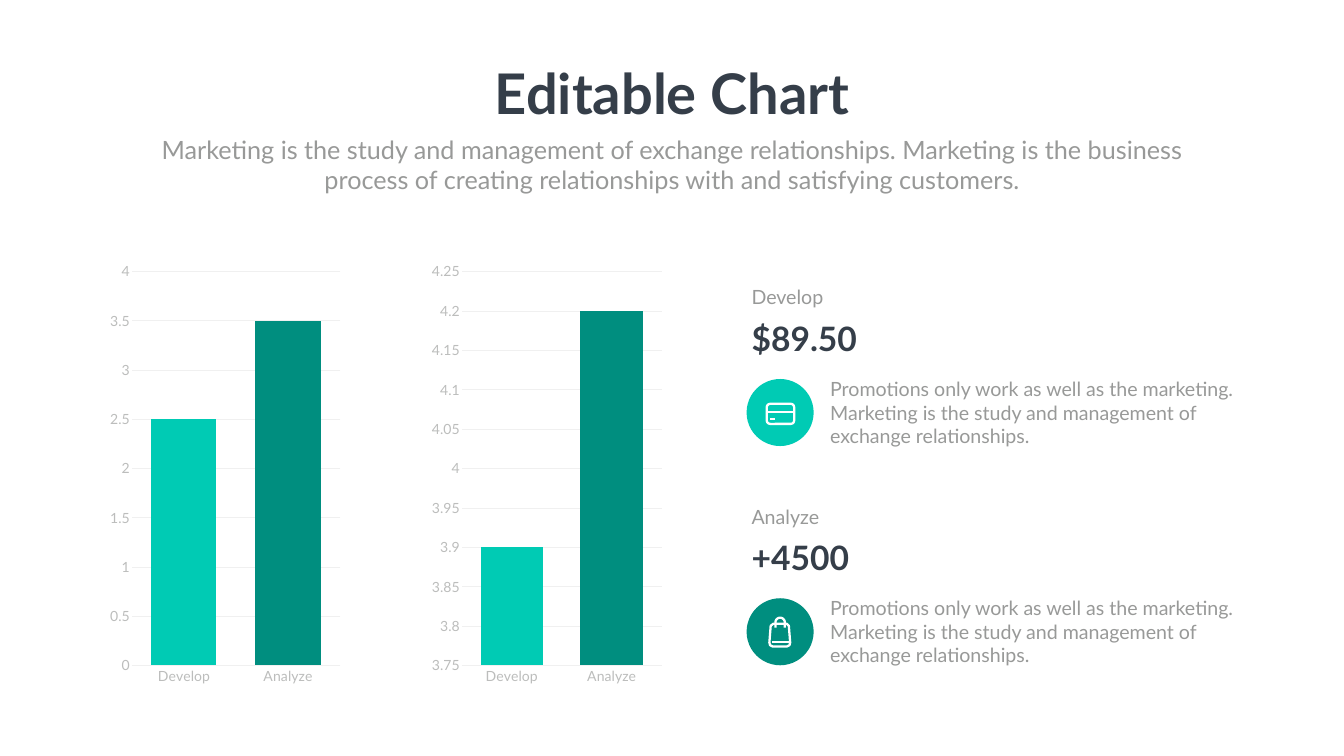
from dataclasses import dataclass
from math import cos, pi, sin

from lxml.etree import SubElement
from pptx import Presentation
from pptx.chart.data import CategoryChartData
from pptx.dml.color import RGBColor
from pptx.enum.chart import XL_CHART_TYPE, XL_TICK_MARK
from pptx.enum.shapes import MSO_CONNECTOR, MSO_SHAPE
from pptx.enum.text import MSO_AUTO_SIZE, PP_ALIGN
from pptx.oxml.ns import qn
from pptx.util import Inches, Pt

WIDTH, HEIGHT = Inches(26.66), Inches(15)
COLORS = {
    "white": "FFFFFF",
    "ink": "353E49",
    "grey": "989998",
    "axis": "BCBDBC",
    "grid": "F0F0F0",
    "mint": "00CBB4",
    "teal": "008E7F",
}
STYLES = {
    "title": {"size": Pt(80), "bold": True, "color": "ink"},
    "lead": {"size": Pt(36), "color": "grey"},
    "value": {"size": Pt(48), "bold": True, "color": "ink"},
    "body": {"size": Pt(28), "color": "grey"},
    "chart": {"size": Pt(20), "color": "grey"},
    "axis": {"size": Pt(20), "color": "axis"},
}
BODY = (
    "Promotions only work as well as the marketing. "
    "Marketing is the study and management of exchange relationships."
)
CATEGORIES = ("Develop", "Analyze")
BAR_COLORS = ("mint", "teal")
METRIC_PITCH = 29


@dataclass(frozen=True)
class Box:
    """Percent shares of the slide's width and height."""

    x: float
    y: float
    w: float
    h: float

    def emu(self) -> tuple:
        return tuple(
            round(share * side / 100)
            for share, side in zip((self.x, self.y, self.w, self.h), (WIDTH, HEIGHT) * 2)
        )


@dataclass(frozen=True)
class BarChart:
    x: float
    values: tuple
    low: float
    high: float
    step: float


@dataclass(frozen=True)
class Metric:
    label: str
    value: str
    color: str
    icon: str


CHARTS = (
    BarChart(7.84, (2.5, 3.5), 0, 4, 0.5),
    BarChart(31.77, (3.9, 4.2), 3.75, 4.25, 0.05),
)
METRICS = (
    Metric("Develop", "$89.50", "mint", "card"),
    Metric("Analyze", "+4500", "teal", "bag"),
)
BAG_BODY = (
    (0.4, 0.38), (0.6, 0.38), (0.63, 0.41), (0.65, 0.66), (0.64, 0.7),
    (0.6, 0.72), (0.39, 0.72), (0.35, 0.7), (0.34, 0.66), (0.36, 0.41),
)
HANDLE_ARC = tuple(
    (0.5 - 0.07 * cos(pi * i / 12), 0.36 - 0.07 * sin(pi * i / 12)) for i in range(13)
)
BAG_HANDLE = ((0.43, 0.44), *HANDLE_ARC, (0.57, 0.44))


def rgb(name: str) -> RGBColor:
    return RGBColor.from_string(COLORS[name])


def set_font(font, style: str) -> None:
    font.name = "Lato"
    for key, value in STYLES[style].items():
        if key == "color":
            font.color.rgb = rgb(value)
        else:
            setattr(font, key, value)


def set_line(line, color: str, width: float) -> None:
    line.color.rgb = rgb(color)
    line.width = Pt(width)


def add_text(s, box: Box, text: str, style: str, wrap: bool = True, **paragraph) -> None:
    tf = s.shapes.add_textbox(*box.emu()).text_frame
    tf.word_wrap = wrap
    tf.auto_size = MSO_AUTO_SIZE.SHAPE_TO_FIT_TEXT
    p = tf.paragraphs[0]
    for key, value in paragraph.items():
        setattr(p, key, value)
    r = p.add_run()
    r.text = text
    set_font(r.font, style)


def add_bar_chart(s, bars: BarChart) -> None:
    data = CategoryChartData()
    data.categories = CATEGORIES
    data.add_series("Series 1", bars.values)
    chart = s.shapes.add_chart(
        XL_CHART_TYPE.COLUMN_CLUSTERED, *Box(bars.x, 33.6, 17.82, 58.13).emu(), data
    ).chart
    chart.has_legend = chart.has_title = False
    set_font(chart.font, "chart")
    for axis in (chart.category_axis, chart.value_axis):
        axis.major_tick_mark = axis.minor_tick_mark = XL_TICK_MARK.NONE
        set_font(axis.tick_labels.font, "axis")
    set_line(chart.category_axis.format.line, "grid", 0.75)
    scale = {"minimum_scale": bars.low, "maximum_scale": bars.high, "major_unit": bars.step}
    for key, value in scale.items():
        setattr(chart.value_axis, key, value)
    chart.value_axis.format.line.fill.background()
    set_line(chart.value_axis.major_gridlines.format.line, "grid", 0.75)
    plot = chart.plots[0]
    for key, value in {"gap_width": 60, "overlap": -11, "vary_by_categories": False}.items():
        setattr(plot, key, value)
    series = plot.series[0]
    series.invert_if_negative = False
    for i, color in enumerate(BAR_COLORS):
        fill = series.points[i].format.fill
        fill.solid()
        fill.fore_color.rgb = rgb(color)


def within(sp, x: float, y: float) -> tuple:
    return round(sp.left + x * sp.width), round(sp.top + y * sp.height)


def style_outline(sp) -> None:
    sp.shadow.inherit = False
    sp.fill.background()
    set_line(sp.line, "white", 3.25)


def add_stroke(s, disc, x1: float, x2: float, y: float) -> None:
    line = s.shapes.add_connector(
        MSO_CONNECTOR.STRAIGHT, *within(disc, x1, y), *within(disc, x2, y)
    )
    set_line(line.line, "white", 3)
    SubElement(line._element.spPr, qn("a:effectLst"))


def add_outline(s, disc, points: tuple, close: bool) -> None:
    start, *rest = (within(disc, *point) for point in points)
    builder = s.shapes.build_freeform(*start)
    builder.add_line_segments(rest, close=close)
    style_outline(builder.convert_to_shape())


def add_card_icon(s, disc) -> None:
    size = (round(0.41 * disc.width), round(0.3 * disc.height))
    sp = s.shapes.add_shape(MSO_SHAPE.ROUNDED_RECTANGLE, *within(disc, 0.3, 0.37), *size)
    sp.adjustments[0] = 0.17
    style_outline(sp)
    add_stroke(s, disc, 0.3, 0.71, 0.49)
    add_stroke(s, disc, 0.35, 0.43, 0.6)


def add_bag_icon(s, disc) -> None:
    add_outline(s, disc, BAG_BODY, True)
    add_outline(s, disc, BAG_HANDLE, False)
    add_stroke(s, disc, 0.38, 0.64, 0.65)


def add_metric(s, metric: Metric, y: float) -> None:
    x = 55.55
    add_text(s, Box(x, y, 12.53, 4.13), metric.label, "body", line_spacing=Pt(40.8))
    add_text(s, Box(x, y + 4.93, 16.47, 6.07), metric.value, "value")
    add_text(s, Box(61.4, y + 12.8, 32.18, 10.07), BODY, "body")
    disc = s.shapes.add_shape(MSO_SHAPE.OVAL, *Box(x, y + 13.4, 4.99, 8.87).emu())
    disc.shadow.inherit = False
    disc.fill.solid()
    disc.fill.fore_color.rgb = rgb(metric.color)
    disc.line.fill.background()
    {"card": add_card_icon, "bag": add_bag_icon}[metric.icon](s, disc)


def main() -> None:
    prs = Presentation()
    prs.slide_width, prs.slide_height = WIDTH, HEIGHT
    s = prs.slides.add_slide(prs.slide_layouts[6])
    s.background.fill.solid()
    s.background.fill.fore_color.rgb = rgb("white")
    add_text(s, Box(36.2, 7.47, 27.64, 9.67), "Editable Chart", "title", False,
             alignment=PP_ALIGN.CENTER)
    add_text(s, Box(10.95, 17.4, 78.1, 8.73),
             "Marketing is the study and management of exchange relationships. "
             "Marketing is the business process of creating relationships with "
             "and satisfying customers.", "lead", alignment=PP_ALIGN.CENTER)
    for bars in CHARTS:
        add_bar_chart(s, bars)
    for i, metric in enumerate(METRICS):
        add_metric(s, metric, 36.73 + i * METRIC_PITCH)
    prs.save("out.pptx")


if __name__ == "__main__":
    main()
